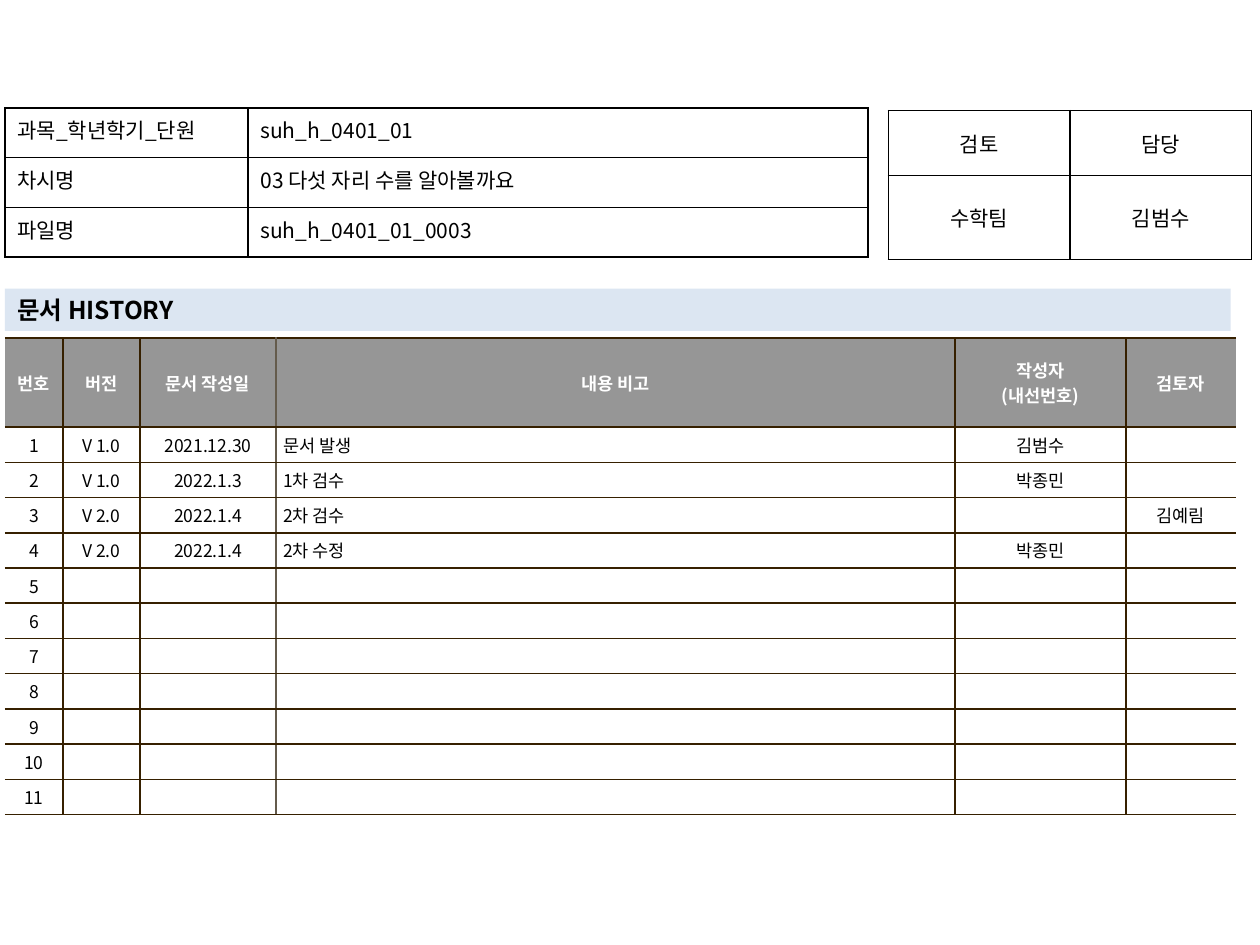
from lxml import etree
from pptx import Presentation
from pptx.dml.color import RGBColor
from pptx.enum.shapes import MSO_SHAPE
from pptx.enum.text import MSO_ANCHOR, PP_ALIGN
from pptx.oxml.ns import qn
from pptx.util import Cm, Pt

LEFT, CENTER, JUSTIFY = PP_ALIGN.LEFT, PP_ALIGN.CENTER, PP_ALIGN.JUSTIFY
TOP, MIDDLE = MSO_ANCHOR.TOP, MSO_ANCHOR.MIDDLE
RECTANGLE = MSO_SHAPE.RECTANGLE
FONT = "Noto Sans CJK KR"
BLACK, WHITE, GRAY, PALE_BLUE = "000000", "FFFFFF", "969696", "DCE6F2"
BROWN, TAUPE = "362000", "645B4C"

DOCUMENT_ROWS = [
    ["과목_학년학기_단원", "suh_h_0401_01"],
    ["차시명", "03 다섯 자리 수를 알아볼까요"],
    ["파일명", "suh_h_0401_01_0003"],
]
REVIEW_ROWS = [["검토", "담당"], ["수학팀", "김범수"]]
HISTORY_HEADER = ["번호", "버전", "문서 작성일", "내용 비고", "작성자\n(내선번호)", "검토자"]
HISTORY_ENTRIES = [
    ["V 1.0", "2021.12.30", "문서 발생", "김범수", ""],
    ["V 1.0", "2022.1.3", "1차 검수", "박종민", ""],
    ["V 2.0", "2022.1.4", "2차 검수", "", "김예림"],
    ["V 2.0", "2022.1.4", "2차 수정", "박종민", ""],
]
HISTORY_LENGTH = 11
NOTE_COLUMN = HISTORY_HEADER.index("내용 비고")


def rgb(color):
    return RGBColor.from_string(color)


def format_font(font, size, color, bold):
    font.size, font.bold, font.name = Pt(size), bold, FONT
    font.color.rgb = rgb(color)


def format_text(text_frame, size, color=BLACK, bold=False, align=LEFT):
    for paragraph in text_frame.paragraphs:
        paragraph.alignment = align
        for run in paragraph.runs:
            format_font(run.font, size, color, bold)
            # Korean letters take the East Asian typeface
            properties = run.font._element
            etree.SubElement(properties, qn("a:ea")).set("typeface", FONT)
        if not paragraph.runs:
            # Keeps an empty cell from forcing a taller row
            end = etree.SubElement(paragraph._p, qn("a:endParaRPr"))
            end.set("sz", str(size * 100))


def set_borders(cell, left, right, top, bottom):
    """Draw 1 pt cell borders; None leaves an edge open."""
    properties = cell._tc.get_or_add_tcPr()
    for side, color in zip("LRTB", (left, right, top, bottom)):
        line = etree.SubElement(properties, qn(f"a:ln{side}"), w=str(Pt(1)))
        if color is None:
            etree.SubElement(line, qn("a:noFill"))
        else:
            fill = etree.SubElement(line, qn("a:solidFill"))
            etree.SubElement(fill, qn("a:srgbClr"), val=color)


def add_table(slide, left, top, widths, heights, rows, margins):
    """Add an unstyled table with its text and cell margins."""
    shape = slide.shapes.add_table(len(heights), len(widths), Cm(left), Cm(top),
                                   Cm(sum(widths)), Cm(sum(heights)))
    table = shape.table
    table.first_row = table.horz_banding = False
    for column, width in zip(table.columns, widths):
        column.width = Cm(width)
    for row, height, texts in zip(table.rows, heights, rows):
        row.height = Cm(height)
        for cell, text in zip(row.cells, texts):
            cell.text_frame.text = text
            cell.margin_left = cell.margin_right = Cm(margins[0])
            cell.margin_top = cell.margin_bottom = Cm(margins[1])
    return table


def add_info_table(slide, left, top, widths, heights, rows, aligns, anchor):
    table = add_table(slide, left, top, widths, heights, rows, (0.25, 0.13))
    for row in table.rows:
        for cell, align in zip(row.cells, aligns):
            format_text(cell.text_frame, 12, align=align)
            cell.vertical_anchor = anchor
            set_borders(cell, BLACK, BLACK, BLACK, BLACK)
            cell.fill.background()


def add_history_table(slide):
    rows = [HISTORY_HEADER]
    for index in range(HISTORY_LENGTH):
        entry = HISTORY_ENTRIES[index] if index < len(HISTORY_ENTRIES) else [""] * 5
        rows.append([str(index + 1)] + entry)
    widths = [1.17, 1.55, 2.74, 13.69, 3.45, 2.21]
    heights = [1.8] + [0.71] * HISTORY_LENGTH
    table = add_table(slide, 0.1, 6.81, widths, heights, rows, (0.15, 0.1))

    # Vertical rules from left to right; the outer sides stay open
    rules = [None, BROWN, BROWN, TAUPE, BROWN, BROWN, None]
    for row_index, row in enumerate(table.rows):
        header = row_index == 0
        for column_index, cell in enumerate(row.cells):
            note = column_index == NOTE_COLUMN and not header
            format_text(cell.text_frame, 10, WHITE if header else BLACK,
                        header, LEFT if note else CENTER)
            cell.vertical_anchor = MIDDLE
            set_borders(cell, rules[column_index], rules[column_index + 1], BROWN, BROWN)
            cell.fill.solid()
            cell.fill.fore_color.rgb = rgb(GRAY if header else WHITE)


def add_heading_bar(slide, text):
    shape = slide.shapes.add_shape(RECTANGLE, Cm(0.1), Cm(5.82), Cm(24.71), Cm(0.85))
    shape.shadow.inherit = False
    shape.fill.solid()
    shape.fill.fore_color.rgb = rgb(PALE_BLUE)
    shape.line.fill.background()
    shape.text_frame.text = text
    shape.text_frame.vertical_anchor = MIDDLE
    format_text(shape.text_frame, 14, bold=True)


def main():
    presentation = Presentation()
    presentation.slide_width, presentation.slide_height = Cm(25.4), Cm(19.05)
    slide = presentation.slides.add_slide(presentation.slide_layouts[6])

    # Revision history
    add_history_table(slide)
    # Reviewer and person in charge
    add_info_table(slide, 17.91, 2.23, [3.66, 3.66], [1.31, 1.69],
                   REVIEW_ROWS, [CENTER, CENTER], MIDDLE)
    add_heading_bar(slide, "문서 HISTORY")
    # Document details
    add_info_table(slide, 0.1, 2.18, [4.9, 12.5], [1] * 3,
                   DOCUMENT_ROWS, [JUSTIFY, LEFT], TOP)

    presentation.save("out.pptx")


if __name__ == "__main__":
    main()
